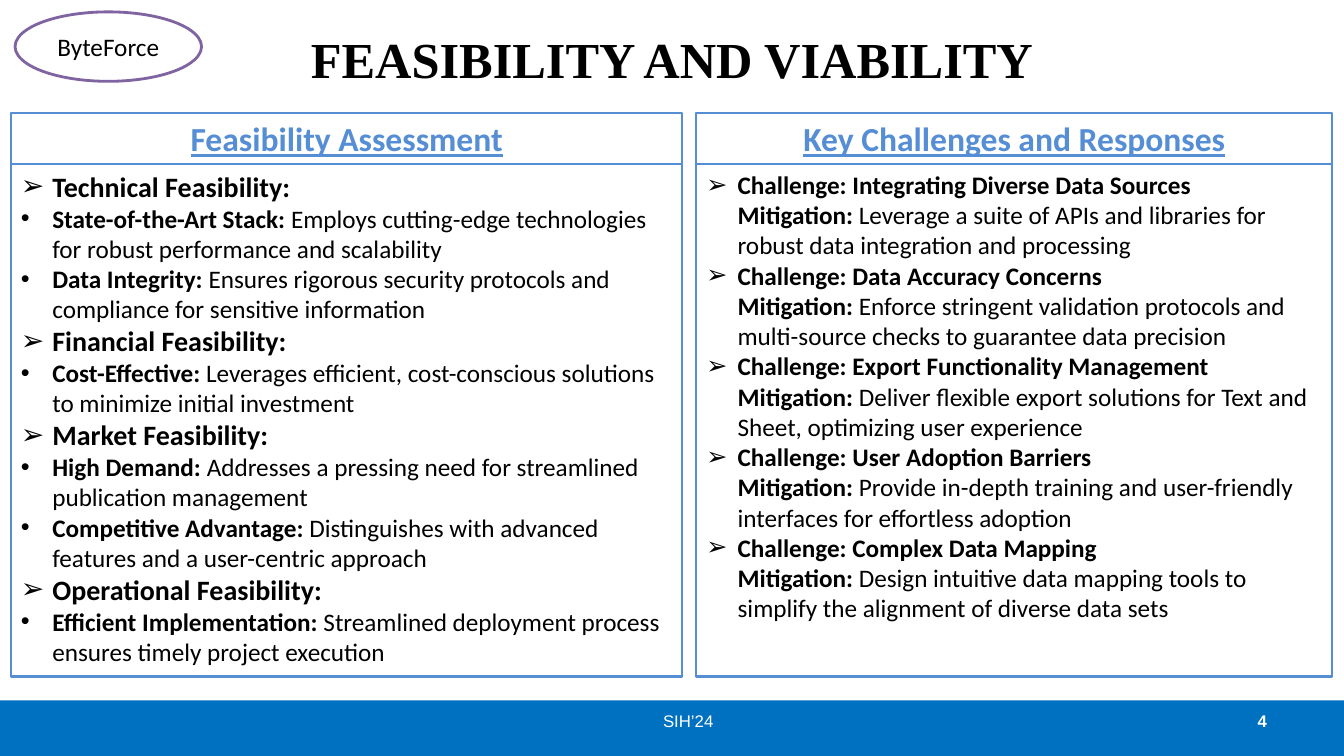
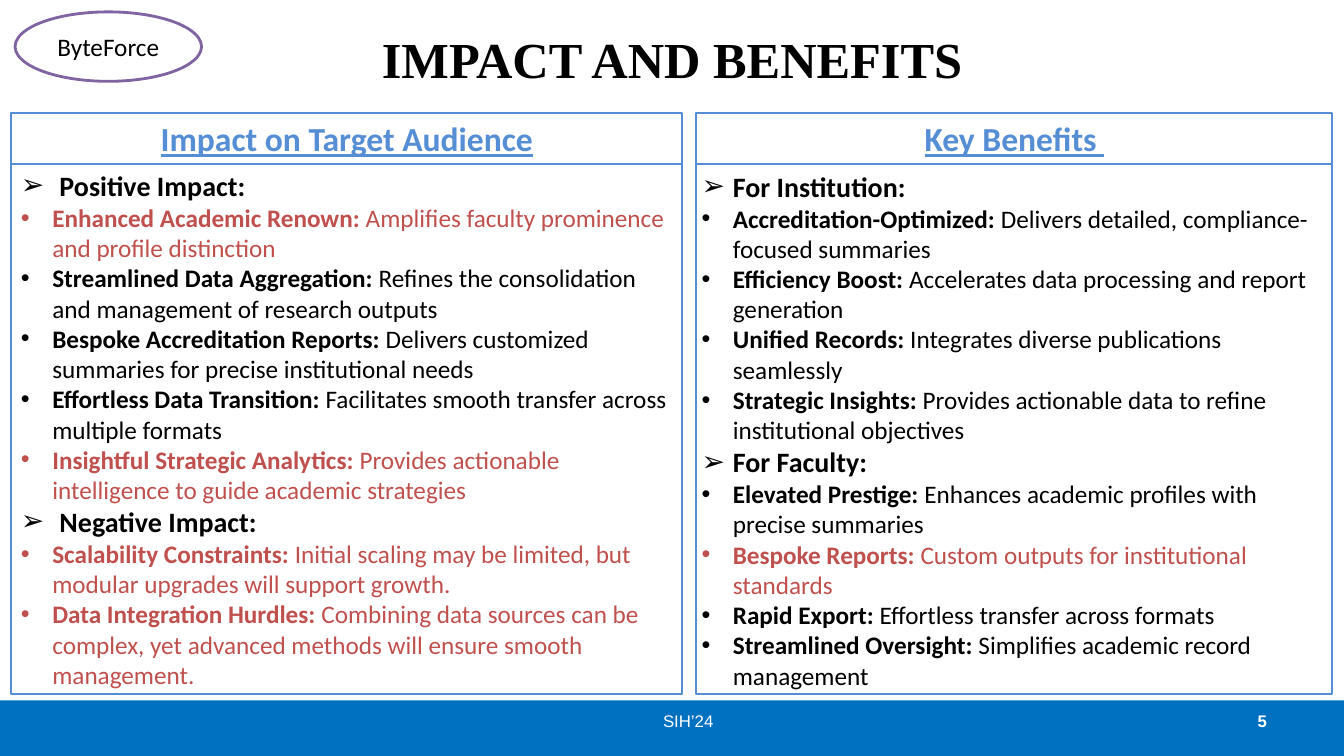
import pptx
import pptx.util
import pptx.dml.color
import pptx.enum.shapes
import pptx.enum.text
import pptx.oxml
import pptx.oxml.ns

Cm, Pt = pptx.util.Cm, pptx.util.Pt
SHAPE = pptx.enum.shapes.MSO_SHAPE
ALIGN = pptx.enum.text.PP_ALIGN
ANCHOR = pptx.enum.text.MSO_ANCHOR

SLIDE_W, SLIDE_H = 33.87, 19.05
BAND_TOP = 17.65
HEAD_TOP, HEAD_H = 2.84, 1.3
LEFT_COL = (0.28, 16.92)    # left edge, width
RIGHT_COL = (17.55, 16.03)


def color(hex_string):
    return pptx.dml.color.RGBColor.from_string(hex_string)


class Deck:
    """Shared style and the slide being built."""
    WHITE, BLACK = "FFFFFF", "000000"
    BAND, RULE, ACCENT, OVAL = "0070C0", "558ED5", "C0504D", "8064A2"
    BODY_FONT, TITLE_FONT, FOOTER_FONT = "Calibri", "Times New Roman", "Arial"
    HEAD_PT, TOPIC_PT, BODY_PT, FOOTER_PT = 24, 20, 18, 12
    INDENT = 0.79

    def __init__(self):
        self.prs = pptx.Presentation()
        self.prs.slide_width = Cm(SLIDE_W)
        self.prs.slide_height = Cm(SLIDE_H)
        self.s = None

    # Basic elements
    def shape(self, kind, x, y, w, h, fill, line=None, line_pt=1.5):
        sp = self.s.shapes.add_shape(kind, Cm(x), Cm(y), Cm(w), Cm(h))
        sp.shadow.inherit = False
        sp.fill.solid()
        sp.fill.fore_color.rgb = color(fill)
        if line:
            sp.line.color.rgb = color(line)
            sp.line.width = Pt(line_pt)
        else:
            sp.line.fill.background()
        return sp

    def run(self, p, text, size, c=BLACK, font=BODY_FONT, bold=False, underline=False):
        r = p.add_run()
        r.text = text
        r.font.size, r.font.name = Pt(size), font
        r.font.bold, r.font.underline = bold, underline
        r.font.color.rgb = color(c)

    def label(self, sp, text, size, align=ALIGN.CENTER, **style):
        tf = sp.text_frame
        tf.word_wrap = True
        tf.vertical_anchor = ANCHOR.MIDDLE
        p = tf.paragraphs[0]
        p.alignment = align
        self.run(p, text, size, **style)

    def text(self, x, y, w, h, text, size, **style):
        sp = self.s.shapes.add_textbox(Cm(x), Cm(y), Cm(w), Cm(h))
        self.label(sp, text, size, **style)

    def bullet(self, p, char, indent):
        pPr = p._p.get_or_add_pPr()
        pPr.set("marL", str(Cm(indent)))
        pPr.set("indent", str(-Cm(indent)))
        ns = pptx.oxml.ns.nsdecls("a")
        for xml in (f'<a:buFont {ns} typeface="Arial"/>', f'<a:buChar {ns} char="{char}"/>'):
            pPr.append(pptx.oxml.parse_xml(xml))

    # Slide frame: footer band, title, team oval
    def slide(self, title, number):
        self.s = self.prs.slides.add_slide(self.prs.slide_layouts[6])
        band = self.shape(SHAPE.RECTANGLE, 0, BAND_TOP, SLIDE_W, SLIDE_H - BAND_TOP, self.BAND)
        effects = band._element.spPr.find(pptx.oxml.ns.qn("a:effectLst"))
        effects.append(pptx.oxml.parse_xml(
            f'<a:outerShdw {pptx.oxml.ns.nsdecls("a")} dist="{Pt(1.8)}" dir="5400000">'
            '<a:srgbClr val="808080"><a:alpha val="35000"/></a:srgbClr></a:outerShdw>'))
        self.text(1.7, -0.13, 30.48, 3.18, title, 36, font=self.TITLE_FONT, bold=True)
        footer = dict(c=self.WHITE, font=self.FOOTER_FONT)
        self.text(24.28, BAND_TOP, 7.9, 1.02, str(number), self.FOOTER_PT,
                  align=ALIGN.RIGHT, bold=True, **footer)
        self.text(12.9, BAND_TOP, 8.89, 1.02, "SIH’24", self.FOOTER_PT, **footer)
        oval = self.shape(SHAPE.OVAL, 0.38, 0.3, 4.7, 1.75, self.WHITE, self.OVAL, 2)
        self.label(oval, "ByteForce", self.BODY_PT)

    # Column: heading box over a box of bulleted rows (kind, bold lead, text)
    def panel(self, column, heading, rows, bottom, anchor=ANCHOR.TOP, inset=0.25,
              topic_indent=INDENT):
        x, w = column
        top = HEAD_TOP + HEAD_H
        box = self.shape(SHAPE.RECTANGLE, x, top, w, bottom - top, self.WHITE, self.RULE)
        head = self.shape(SHAPE.RECTANGLE, x, HEAD_TOP, w, HEAD_H, self.WHITE, self.RULE)
        self.label(head, heading, self.HEAD_PT, c=self.RULE, bold=True, underline=True)
        tf = box.text_frame
        tf.word_wrap = True
        tf.vertical_anchor = anchor
        tf.margin_left = tf.margin_right = Cm(inset)
        for i, (kind, lead, *rest) in enumerate(rows):
            p = tf.paragraphs[0] if i == 0 else tf.add_paragraph()
            p.alignment = ALIGN.LEFT
            is_item = kind in ("item", "accent")
            self.bullet(p, "•" if is_item else "➢",
                        topic_indent if kind == "topic" else self.INDENT)
            c = self.ACCENT if kind == "accent" else self.BLACK
            size = self.TOPIC_PT if kind == "topic" else self.BODY_PT
            self.run(p, lead, size, c, bold=True)
            if kind == "challenge":
                p.add_line_break()
                self.run(p, "Mitigation:", size, c, bold=True)
            for text in rest:
                self.run(p, " " + text, size, c)


FEASIBILITY = [
    ("topic", "Technical Feasibility:"),
    ("item", "State-of-the-Art Stack:",
     "Employs cutting-edge technologies for robust performance and scalability"),
    ("item", "Data Integrity:",
     "Ensures rigorous security protocols and compliance for sensitive information"),
    ("topic", "Financial Feasibility:"),
    ("item", "Cost-Effective:",
     "Leverages efficient, cost-conscious solutions to minimize initial investment"),
    ("topic", "Market Feasibility:"),
    ("item", "High Demand:", "Addresses a pressing need for streamlined publication management"),
    ("item", "Competitive Advantage:",
     "Distinguishes with advanced features and a user-centric approach"),
    ("topic", "Operational Feasibility:"),
    ("item", "Efficient Implementation:",
     "Streamlined deployment process ensures timely project execution"),
]
CHALLENGES = [
    ("challenge", "Challenge: Integrating Diverse Data Sources",
     "Leverage a suite of APIs and libraries for robust data integration and processing"),
    ("challenge", "Challenge: Data Accuracy Concerns",
     "Enforce stringent validation protocols and multi-source checks to guarantee data precision"),
    ("challenge", "Challenge: Export Functionality Management",
     "Deliver flexible export solutions for Text and Sheet, optimizing user experience"),
    ("challenge", "Challenge: User Adoption Barriers",
     "Provide in-depth training and user-friendly interfaces for effortless adoption"),
    ("challenge", "Challenge: Complex Data Mapping",
     "Design intuitive data mapping tools to simplify the alignment of diverse data sets"),
]
IMPACT = [
    ("topic", "Positive Impact:"),
    ("accent", "Enhanced Academic Renown:",
     "Amplifies faculty prominence and profile distinction"),
    ("item", "Streamlined Data Aggregation:",
     "Refines the consolidation and management of research outputs"),
    ("item", "Bespoke Accreditation Reports:",
     "Delivers customized summaries for precise institutional needs"),
    ("item", "Effortless Data Transition:",
     "Facilitates smooth transfer across multiple formats"),
    ("accent", "Insightful Strategic Analytics:",
     "Provides actionable intelligence to guide academic strategies"),
    ("topic", "Negative Impact:"),
    ("accent", "Scalability Constraints:",
     "Initial scaling may be limited, but modular upgrades will support growth."),
    ("accent", "Data Integration Hurdles:",
     "Combining data sources can be complex, yet advanced methods will ensure "
     "smooth management."),
]
BENEFITS = [
    ("topic", "For Institution:"),
    ("item", "Accreditation-Optimized:", "Delivers detailed, compliance-focused summaries"),
    ("item", "Efficiency Boost:", "Accelerates data processing and report generation"),
    ("item", "Unified Records:", "Integrates diverse publications seamlessly"),
    ("item", "Strategic Insights:",
     "Provides actionable data to refine institutional objectives"),
    ("topic", "For Faculty:"),
    ("item", "Elevated Prestige:", "Enhances academic profiles with precise summaries"),
    ("accent", "Bespoke Reports:", "Custom outputs for institutional standards"),
    ("item", "Rapid Export:", "Effortless transfer across formats"),
    ("item", "Streamlined Oversight:", "Simplifies academic record management"),
]


def main():
    deck = Deck()

    # Feasibility
    deck.slide("FEASIBILITY AND VIABILITY", 4)
    deck.panel(LEFT_COL, "Feasibility Assessment", FEASIBILITY, bottom=17.05)
    deck.panel(RIGHT_COL, "Key Challenges and Responses", CHALLENGES, bottom=17.05)

    # Impact
    deck.slide("IMPACT AND BENEFITS", 5)
    deck.panel(LEFT_COL, "Impact on Target Audience", IMPACT, bottom=17.48,
               anchor=ANCHOR.MIDDLE, topic_indent=0.97)
    deck.panel(RIGHT_COL, "Key Benefits ", BENEFITS, bottom=17.48, inset=0.13)

    deck.prs.save("out.pptx")


if __name__ == "__main__":
    main()
